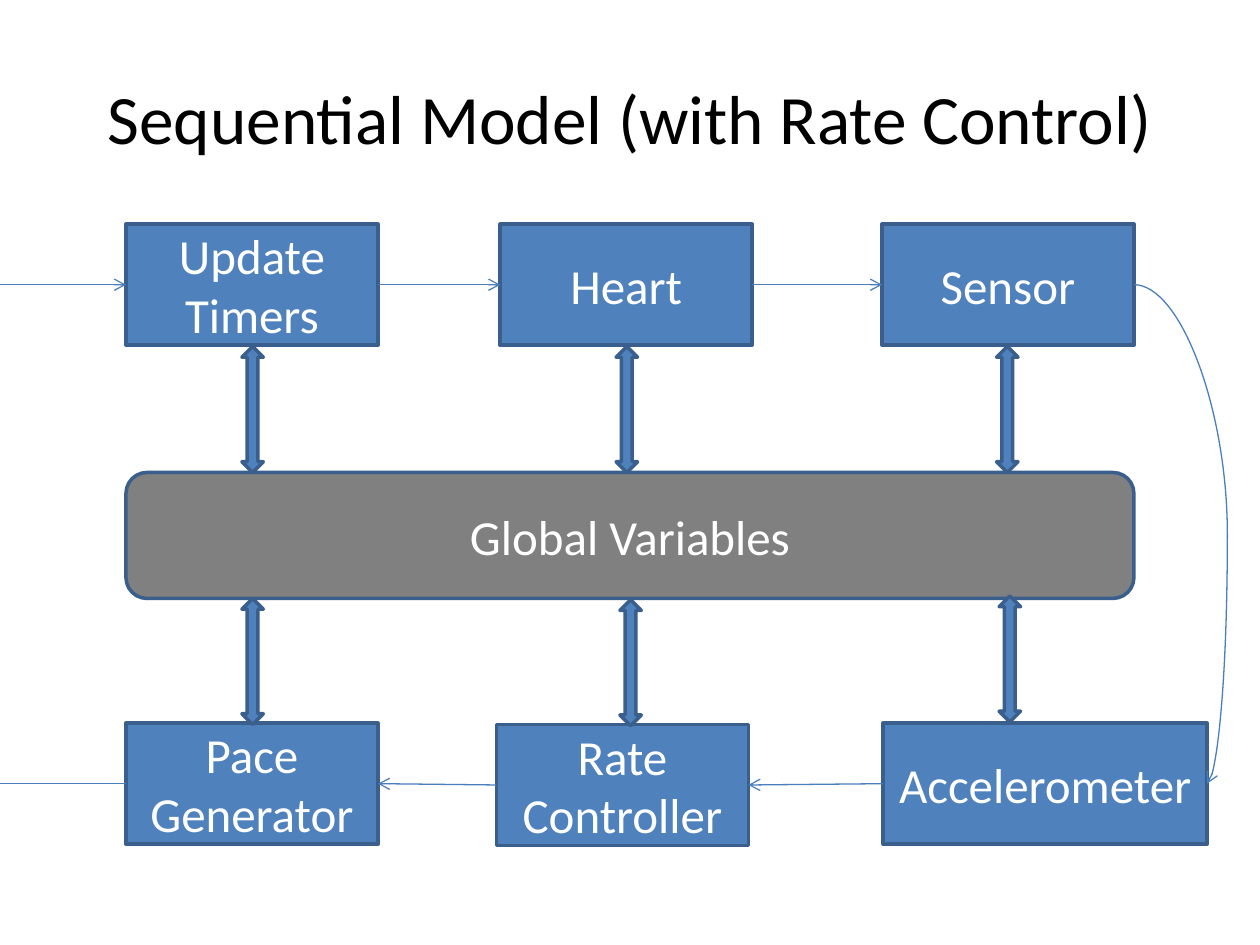
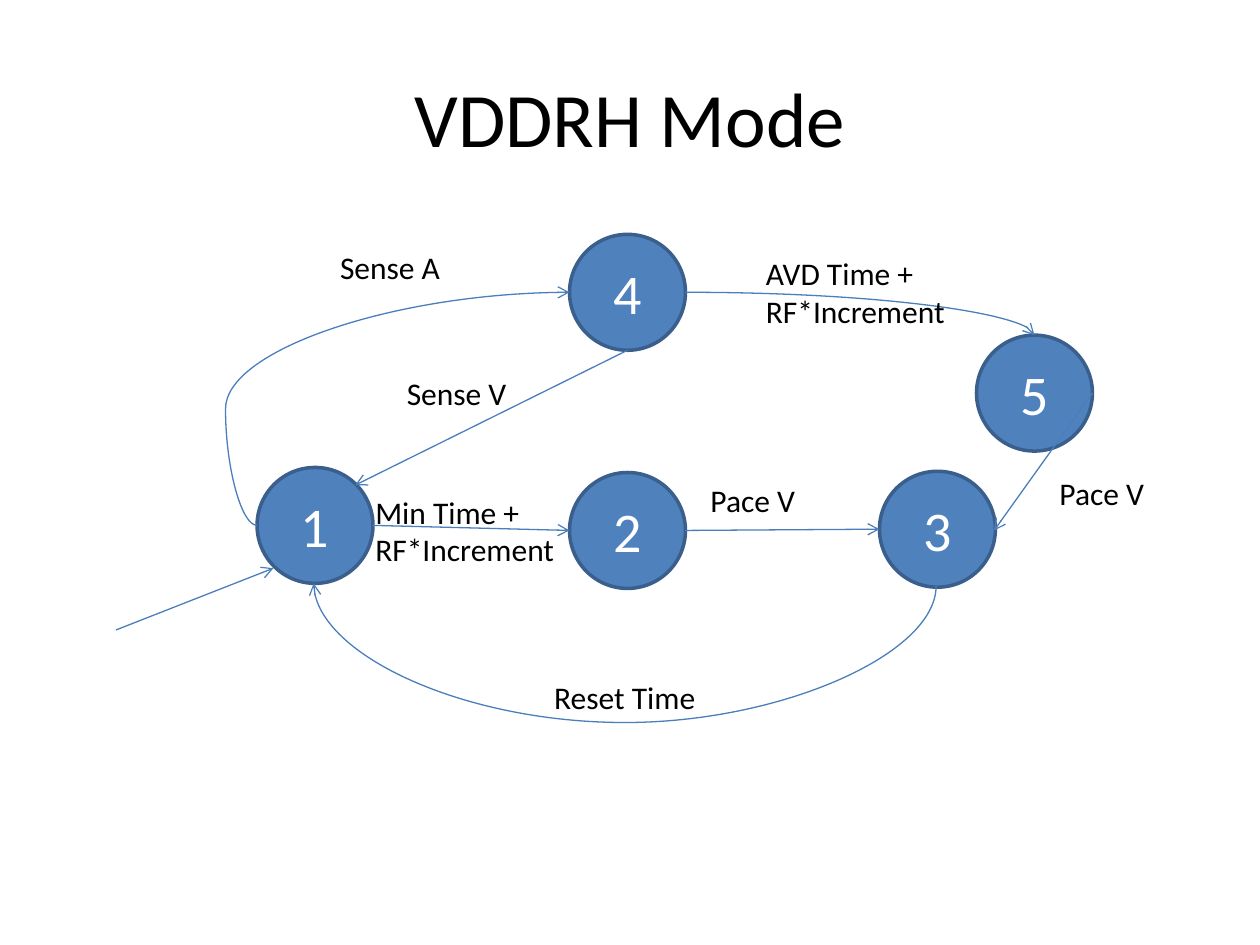
"""Builds two slides: a sequential model diagram and a state machine."""
from lxml import etree
from pptx import Presentation
from pptx import util as u
from pptx.dml.color import RGBColor
from pptx.enum import shapes, text
from pptx.oxml.ns import qn

PX = 9144
SHAPE = shapes.MSO_SHAPE
TOP, LEFT, BOTTOM, RIGHT = range(4)


def rgb(value):
    return RGBColor.from_string(value)


class Deck:
    font = "Calibri"
    blue, edge, wire = "4F81BD", "3A5F8C", "4B7EBC"
    gray, white, black = "808080", "FFFFFF", "000000"

    def __init__(self, width, height):
        self.prs = Presentation()
        self.prs.slide_width = width * PX
        self.prs.slide_height = height * PX
        self.s = None

    def slide(self, title, size):
        self.s = self.prs.slides.add_slide(self.prs.slide_layouts[6])
        sp = self.label(title, 50, 30, 900, 125, size)
        self.center(sp)

    def center(self, sp):
        sp.text_frame.vertical_anchor = text.MSO_ANCHOR.MIDDLE
        sp.text_frame.paragraphs[0].alignment = text.PP_ALIGN.CENTER

    def set_words(self, sp, words, size, color):
        tf = sp.text_frame
        tf.word_wrap = True
        tf.text = words
        for r in tf.paragraphs[0].runs:
            r.font.name = self.font
            r.font.size = u.Pt(size)
            r.font.color.rgb = rgb(color)

    def label(self, words, x, y, w, h=40, size=18):
        sp = self.s.shapes.add_textbox(x * PX, y * PX, w * PX, h * PX)
        self.set_words(sp, words, size, self.black)
        return sp

    def shape(self, kind, x, y, w, h, words="", size=28, fill=blue):
        sp = self.s.shapes.add_shape(kind, x * PX, y * PX, w * PX, h * PX)
        sp.shadow.inherit = False
        sp.fill.solid()
        sp.fill.fore_color.rgb = rgb(fill)
        sp.line.color.rgb = rgb(self.edge)
        sp.line.width = u.Pt(2)
        if words:
            self.set_words(sp, words, size, self.white)
            self.center(sp)
        return sp

    def process(self, words, x, y, w=200):
        return self.shape(SHAPE.FLOWCHART_PROCESS, x, y, w, 96, words)

    def state(self, words, x, y):
        return self.shape(SHAPE.OVAL, x, y, 92, 92, words, 32)

    def link(self, x1, y1, x2, y2, kind=shapes.MSO_CONNECTOR.STRAIGHT, head=True):
        c = self.s.shapes.add_connector(kind, x1 * PX, y1 * PX, x2 * PX, y2 * PX)
        c.line.color.rgb = rgb(self.wire)
        c.line.width = u.Pt(0.75)
        if head:
            ln = c._element.spPr.find(qn("a:ln"))
            etree.SubElement(ln, qn("a:tailEnd"), type="arrow")
        etree.SubElement(c._element.spPr, qn("a:effectLst"))
        return c

    def join(self, a, a_side, b, b_side):
        c = self.link(0, 0, 1, 1)
        c.begin_connect(a, a_side)
        c.end_connect(b, b_side)

    def curve(self, x1, y1, x2, y2, bend=None, turn=0):
        c = self.link(x1, y1, x2, y2, shapes.MSO_CONNECTOR.CURVE)
        geom = c._element.spPr.find(qn("a:prstGeom"))
        if bend is None:
            geom.set("prst", "curvedConnector2")
        else:
            etree.SubElement(geom.find(qn("a:avLst")), qn("a:gd"),
                             name="adj1", fmla=f"val {bend}")
        if turn:
            c._element.spPr.find(qn("a:xfrm")).set("rot", str(turn * 60000))


def sequential_model(d):
    d.slide("Sequential Model (with Rate Control)", 39.6)
    timers = d.process("Update\vTimers", 100, 178)
    heart = d.process("Heart", 397, 178)
    sensor = d.process("Sensor", 700, 178)
    accelerometer = d.process("Accelerometer", 701, 574, 257)
    rate = d.process("Rate Controller", 394, 575)
    pace = d.process("Pace Generator", 100, 574)
    d.shape(SHAPE.FLOWCHART_ALTERNATE_PROCESS, 100, 375, 800, 100,
            "Global Variables", fill=d.gray)
    for x, y in ((192, 275), (489, 275), (791, 275),
                 (192, 475), (492, 476), (793, 473)):
        d.shape(SHAPE.UP_DOWN_ARROW, x, y, 17, 100)
    for a, b in ((timers, heart), (heart, sensor)):
        d.join(a, RIGHT, b, LEFT)
    for a, b in ((accelerometer, rate), (rate, pace)):
        d.join(a, LEFT, b, RIGHT)
    d.curve(900, 226, 958, 622, 127800)
    d.link(0, 226, 100, 226).end_connect(timers, LEFT)
    d.link(0, 622, 100, 622, head=False).end_connect(pace, LEFT)


def vddrh_mode(d):
    d.slide("VDDRH Mode", 44)
    for words, x, y in (("1", 204, 371), ("2", 452, 375), ("3", 698, 374),
                        ("4", 452, 186), ("5", 775, 266)):
        d.state(words, x, y)
    for ends in ((92, 500, 217, 451), (296, 417, 452, 421), (544, 421, 698, 420),
                 (498, 278, 282, 385), (867, 312, 789, 421)):
        d.link(*ends)
    d.curve(497, 217, 495, 711, -5400000, 90)
    d.curve(204, 417, 452, 232, -10100)
    d.curve(544, 232, 821, 266)
    d.label("Min Time + RF*Increment", 288, 386, 171, 71)
    d.label("AVD Time + RF*Increment", 598, 197, 177, 71)
    for words, x, y in (("Pace V", 554, 377), ("Reset Time", 430, 533),
                        ("Sense A", 260, 192), ("Sense V", 313, 292),
                        ("Pace V", 831, 371)):
        d.label(words, x, y, 135)


def main():
    d = Deck(1000, 750)
    sequential_model(d)
    vddrh_mode(d)
    d.prs.save("out.pptx")


if __name__ == "__main__":
    main()
